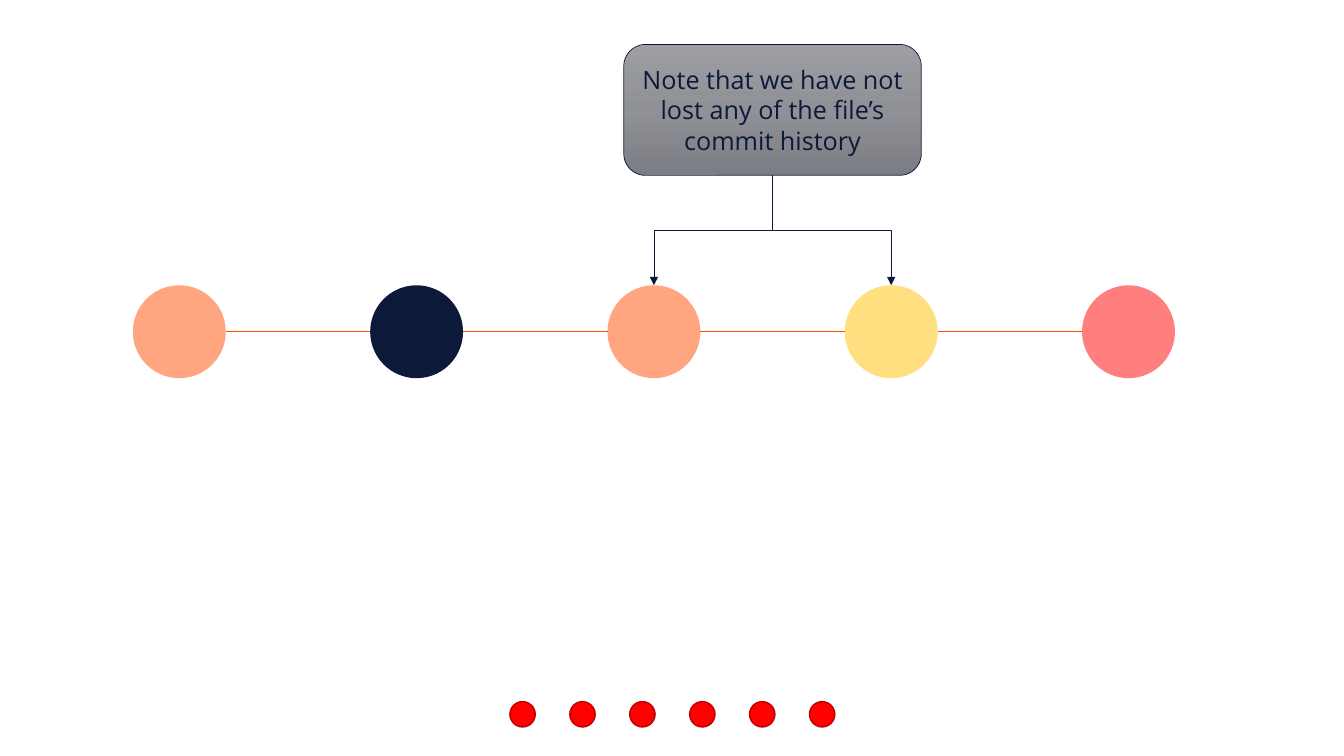
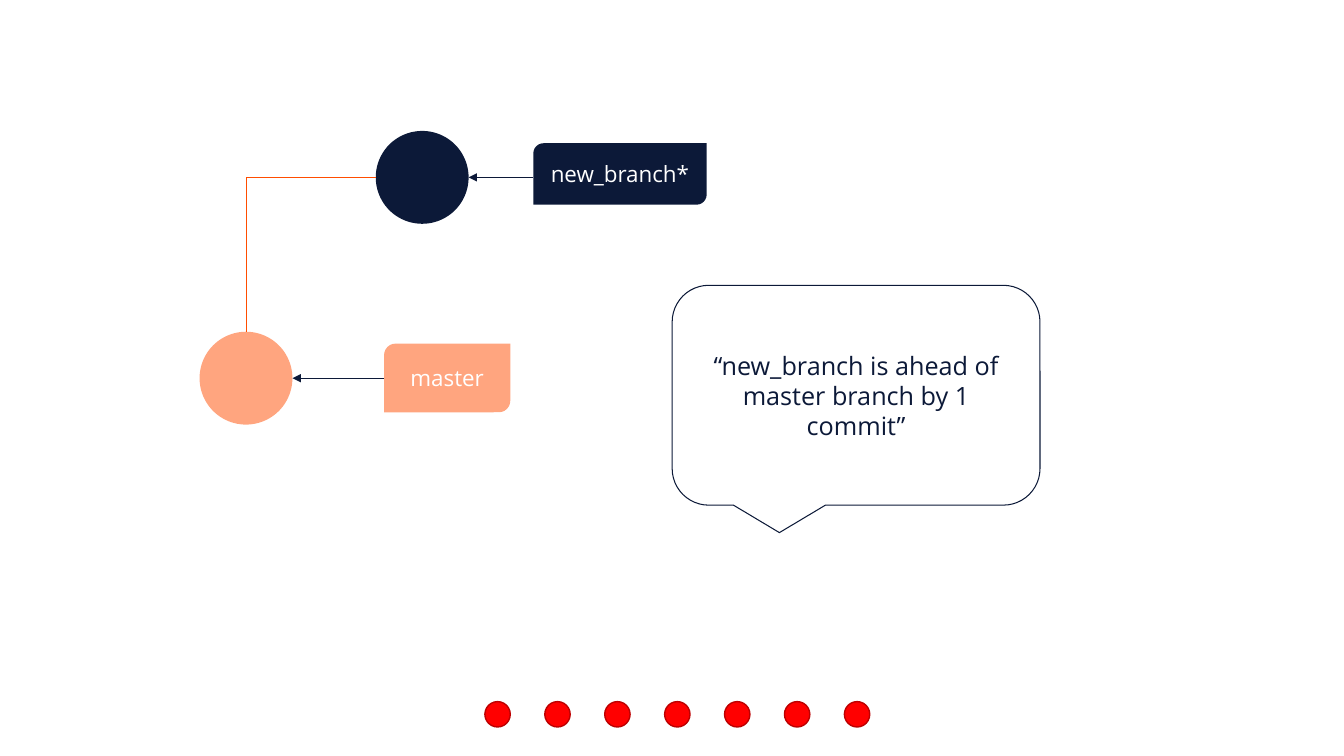
from lxml.etree import SubElement
from pptx import Presentation
from pptx.dml.color import RGBColor
from pptx.enum.shapes import MSO_CONNECTOR as CONN, MSO_SHAPE as SHAPE
from pptx.enum.text import MSO_ANCHOR, PP_ALIGN
from pptx.oxml.ns import qn
from pptx.util import Cm, Pt

rgb = RGBColor.from_string
FONT = "Open Sans"
NAVY, ORANGE, YELLOW, RED, DARK_RED, WHITE = "0C1938", "FF4D00", "FFC100", "FF0000", "BD0000", "FFFFFF"
D, R = 2.34, 1.17
DOT, DOT_STEP, DOT_TOP = 0.64, 1.51, 17.68


def add_shape(s, kind, x, y, w, h, fill=None, alpha=100, line=None, weight=0.5, text=None, size=18, color=NAVY):
    sp = s.shapes.add_shape(kind, Cm(x), Cm(y), Cm(w), Cm(h))
    sp.shadow.inherit = False
    if fill:
        sp.fill.solid()
        sp.fill.fore_color.rgb = rgb(fill)
        if alpha < 100:
            clr = sp.element.spPr.find(qn("a:solidFill")).find(qn("a:srgbClr"))
            SubElement(clr, qn("a:alpha"), val=str(alpha * 1000))
    else:
        sp.fill.background()
    if line:
        sp.line.color.rgb = rgb(line)
        sp.line.width = Pt(weight)
    else:
        sp.line.fill.background()
    if text:
        tf = sp.text_frame
        tf.word_wrap = True
        tf.vertical_anchor = MSO_ANCHOR.MIDDLE
        p = tf.paragraphs[0]
        p.alignment = PP_ALIGN.CENTER
        r = p.add_run()
        r.text = text
        r.font.name = FONT
        r.font.size = Pt(size)
        r.font.color.rgb = rgb(color)
    return sp


def add_line(s, x1, y1, x2, y2, color, arrow=False, bend=None):
    kind = CONN.STRAIGHT
    if bend:
        kind = CONN.ELBOW
        cx, cy, dx, dy = (x1 + x2) / 2, (y1 + y2) / 2, (x2 - x1) / 2, (y2 - y1) / 2
        x1, y1, x2, y2 = cx - dy, cy + dx, cx + dy, cy - dx
    cn = s.shapes.add_connector(kind, Cm(x1), Cm(y1), Cm(x2), Cm(y2))
    if bend:
        cn.rotation = 90
        cn.element.spPr.find(qn("a:prstGeom")).set("prst", bend)
    cn.line.color.rgb = rgb(color)
    cn.line.width = Pt(0.5)
    if arrow:
        SubElement(cn.element.spPr.find(qn("a:ln")), qn("a:tailEnd"), type="triangle")
    SubElement(cn.element.spPr, qn("a:effectLst"))


prs = Presentation()
prs.slide_width, prs.slide_height = Cm(33.87), Cm(19.05)
history, branch = [prs.slides.add_slide(prs.slide_layouts[6]) for _ in range(2)]

left, top, step = 3.35, 7.19, 5.98
commits = [(ORANGE, 50), (NAVY, 100), (ORANGE, 50), (YELLOW, 50), (RED, 50)]
for i, (color, alpha) in enumerate(commits):
    x = left + i * step
    add_shape(history, SHAPE.OVAL, x, top, D, D, color, alpha)
    if i:
        add_line(history, x - step + D, top + R, x, top + R, ORANGE)

note_w, note_top, note_h = 7.5, 1.12, 3.3
note_mid = left + 2.5 * step + R
note = add_shape(history, SHAPE.ROUNDED_RECTANGLE, note_mid - note_w / 2, note_top, note_w, note_h,
                 line=NAVY, text="Note that we have not lost any of the file’s commit history")
note.fill.gradient()
note.fill.gradient_angle = 270
stops = note.element.spPr.find(qn("a:gradFill")).find(qn("a:gsLst"))
for gs in list(stops):
    stops.remove(gs)
for pos, color in [(0, "9E9EA3"), (50, "909196"), (100, "7C7D84")]:
    gs = SubElement(stops, qn("a:gs"), pos=str(pos * 1000))
    SubElement(gs, qn("a:srgbClr"), val=color)
for i in (2, 3):
    add_line(history, note_mid, note_top + note_h, left + i * step + R, top, NAVY, True, "bentConnector3")

tags = [
    (5.03, 8.36, ORANGE, 50, "master", 9.68, 8.66, 3.18, 1.73),
    (9.47, 3.3, NAVY, 100, "new_branch*", 13.44, 3.61, 4.37, 1.55),
]
for x, y, color, alpha, name, tag_x, tag_y, tag_w, tag_h in tags:
    add_shape(branch, SHAPE.OVAL, x, y, D, D, color, alpha)
    add_shape(branch, SHAPE.ROUND_2_DIAG_RECTANGLE, tag_x, tag_y, tag_w, tag_h, color, alpha,
              text=name, size=16, color=WHITE)
    add_line(branch, tag_x, y + R, x + D, y + R, NAVY, True)
add_line(branch, 5.03 + R, 8.36, 9.47, 3.3 + R, ORANGE, bend="bentConnector2")
add_shape(branch, SHAPE.ROUNDED_RECTANGULAR_CALLOUT, 16.94, 7.19, 9.27, 5.54, line=NAVY, weight=0.75,
          text="“new_branch is ahead of master branch by 1 commit”")

for s, first, count in [(history, 12.85, 6), (branch, 12.22, 7)]:
    for i in range(count):
        add_shape(s, SHAPE.OVAL, first + i * DOT_STEP, DOT_TOP, DOT, DOT, RED, line=DARK_RED, weight=1)

prs.save("out.pptx")
